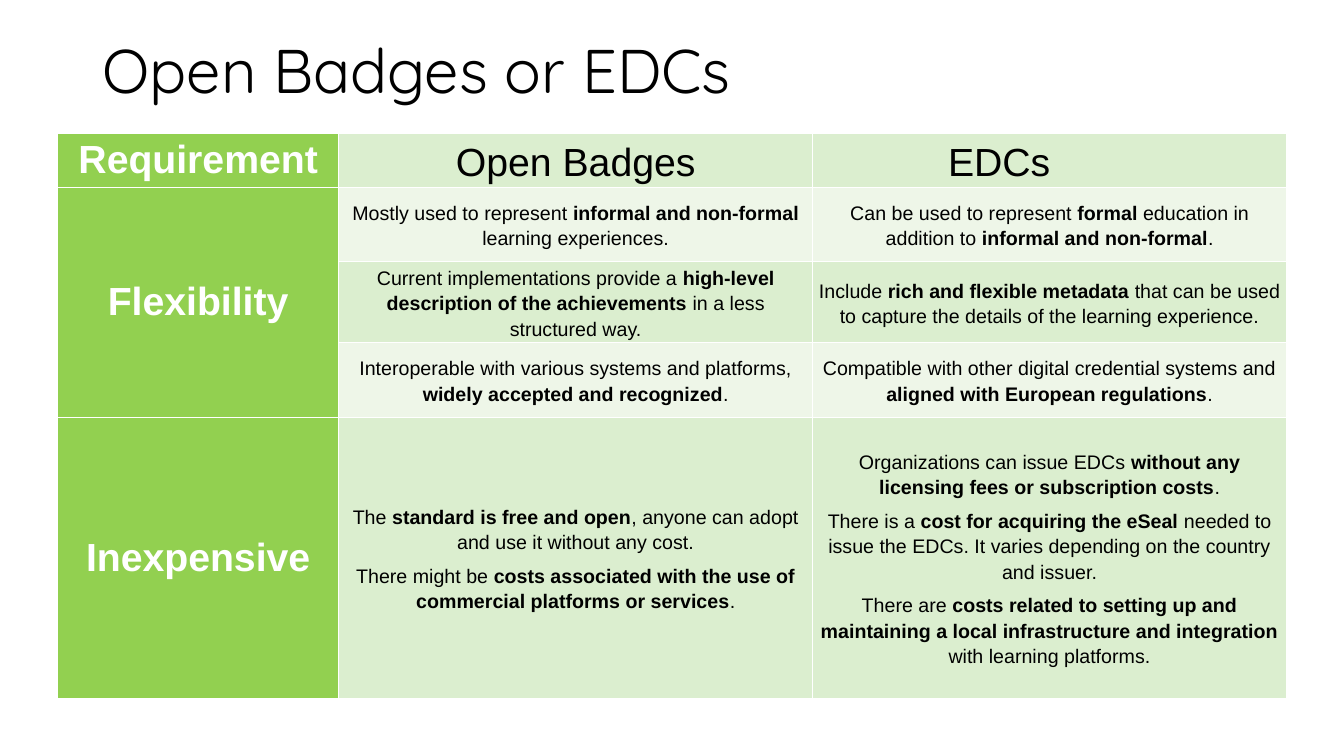
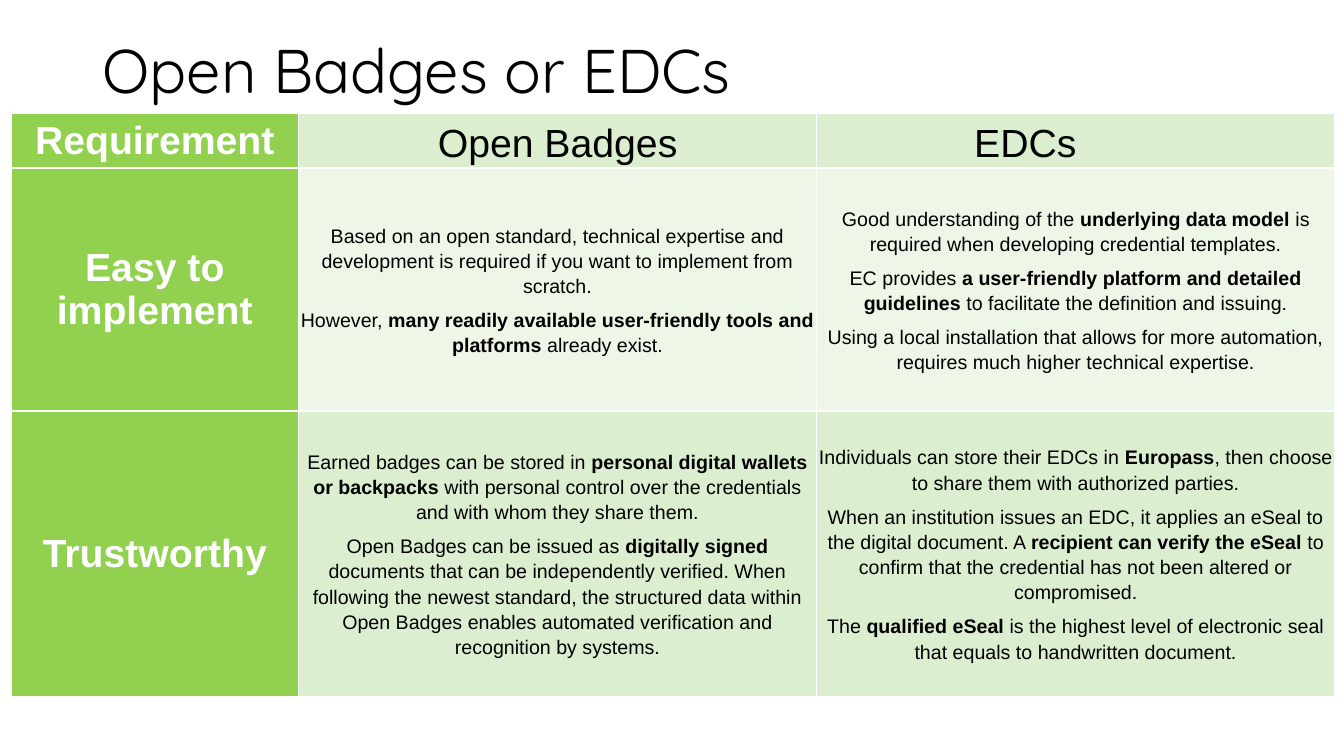
from lxml import etree
from pptx import Presentation
from pptx.dml.color import RGBColor
from pptx.enum.text import MSO_ANCHOR as Anchor, PP_ALIGN as Align
from pptx.oxml.ns import qn
from pptx.util import Inches, Pt

COLORS = {
    "text": "000000",
    "white": "FFFFFF",
    "green": "92D050",
    "light": "DBEECF",
    "pale": "EEF6E8",
}
TITLE_FONT, BODY_FONT = "Quicksand", "Arial"
HEADING_SIZE, BODY_SIZE = 28, 14
HEADER_HEIGHT = 0.5
EDCS_RIGHT_MARGIN = 1.02  # moves the last heading left of its column centre

# Each requirement has one or more rows; each row is (Open Badges, EDCs),
# each a list of paragraphs. Text between ** marks is bold.
FIRST_REQUIREMENTS = [
    ("Flexibility", [
        (["Mostly used to represent **informal and non-formal **learning experiences."],
         ["Can be used to represent **formal** education in addition to "
          "**informal and non-formal**."]),
        (["Current implementations provide a **high-level description of the "
          "achievements** in a less structured way."],
         ["Include **rich and flexible metadata **that can be used to capture the "
          "details of the learning experience."]),
        (["Interoperable with various systems and platforms, "
          "**widely accepted and recognized**."],
         ["Compatible with other digital credential systems and "
          "**aligned with European regulations**."]),
    ]),
    ("Inexpensive", [
        (["The **standard is free and open**, anyone can adopt and use it without any cost.",
          "There might be **costs associated with the use of commercial platforms "
          "or services**."],
         ["Organizations can issue EDCs **without any licensing fees or "
          "subscription costs**.",
          "There is a **cost for acquiring the eSeal **needed to issue the EDCs. "
          "It varies depending on the country and issuer.",
          "There are **costs related to setting up and maintaining a local "
          "infrastructure and integration **with learning platforms."]),
    ]),
]
SECOND_REQUIREMENTS = [
    ("Easy to implement", [
        (["Based on an open standard, technical expertise and development is required "
          "if you want to implement from scratch.",
          "However, **many readily available user-friendly tools and platforms "
          "**already exist."],
         ["Good understanding of the **underlying data model **is required when "
          "developing credential templates.",
          "EC provides **a user-friendly platform and detailed guidelines** to "
          "facilitate the definition and issuing.",
          "Using a local installation that allows for more automation, requires much "
          "higher technical expertise."]),
    ]),
    ("Trustworthy", [
        (["Earned badges can be stored in **personal digital wallets or backpacks "
          "**with personal control over the credentials and with whom they share them.",
          "Open Badges can be issued as **digitally signed **documents that can be "
          "independently verified. When following the newest standard, the structured "
          "data within Open Badges enables automated verification and recognition by "
          "systems."],
         ["Individuals can store their EDCs in **Europass**, then choose to share them "
          "with authorized parties.",
          "When an institution issues an EDC, it applies an eSeal to the digital "
          "document. A **recipient can verify the eSeal **to confirm that the "
          "credential has not been altered or compromised.",
          "The **qualified eSeal** is the highest level of electronic seal that equals "
          "to handwritten document."]),
    ]),
]


def rgb(name):
    return RGBColor.from_string(COLORS[name])


def set_font(para, name, size, color):
    para.font.name = name
    para.font.size = Pt(size)
    para.font.color.rgb = rgb(color)


def add_title(page, text):
    box = page.shapes.add_textbox(Inches(0.92), Inches(0), Inches(11.5), Inches(1.45))
    frame = box.text_frame
    frame.word_wrap = True
    frame.vertical_anchor = Anchor.MIDDLE
    para = frame.paragraphs[0]
    para.text = text
    para.line_spacing = 0.9
    set_font(para, TITLE_FONT, 44, "text")


def style_cell(cell, fill):
    """Give the cell white borders, a plain fill and tight margins."""
    properties = cell._tc.get_or_add_tcPr()
    for side in ("lnL", "lnR", "lnT", "lnB"):
        line = etree.SubElement(properties, qn(f"a:{side}"), w=str(Pt(1)))
        solid = etree.SubElement(line, qn("a:solidFill"))
        etree.SubElement(solid, qn("a:srgbClr"), val=COLORS["white"])
    cell.fill.solid()
    cell.fill.fore_color.rgb = rgb(fill)
    cell.margin_left = cell.margin_right = Inches(0.02)
    cell.margin_top = cell.margin_bottom = 0
    cell.vertical_anchor = Anchor.MIDDLE


def fill_label(cell, text):
    para = cell.text_frame.paragraphs[0]
    para.text = text
    para.alignment = Align.CENTER
    set_font(para, BODY_FONT, HEADING_SIZE, "white")
    para.font.bold = True


def fill_text(cell, texts, size=BODY_SIZE):
    frame = cell.text_frame
    for index, text in enumerate(texts):
        para = frame.add_paragraph() if index else frame.paragraphs[0]
        para.alignment = Align.CENTER
        para.line_spacing = 1.15
        if index:
            para.space_before = Pt(6)
        set_font(para, BODY_FONT, size, "text")
        for part, words in enumerate(text.split("**")):
            span = para.add_run()
            span.text = words
            span.font.bold = part % 2 == 1


def add_comparison(page, left, top, widths, heights, requirements):
    """Add the table; heights are those of the rows below the header."""
    heights = [HEADER_HEIGHT, *heights]
    table = page.shapes.add_table(
        len(heights), len(widths), Inches(left), Inches(top),
        Inches(sum(widths)), Inches(sum(heights))).table
    for column, width in zip(table.columns, widths):
        column.width = Inches(width)
    for row_index, (row, height) in enumerate(zip(table.rows, heights)):
        row.height = Inches(height)
        band = "pale" if row_index % 2 else "light"
        for column_index, cell in enumerate(row.cells):
            style_cell(cell, band if column_index else "green")

    fill_label(table.cell(0, 0), "Requirement")
    for column_index, heading in enumerate(("Open Badges", "EDCs"), 1):
        fill_text(table.cell(0, column_index), [heading], HEADING_SIZE)
    table.cell(0, 2).margin_right = Inches(EDCS_RIGHT_MARGIN)

    row_index = 1
    for label, rows in requirements:
        label_cell = table.cell(row_index, 0)
        if len(rows) > 1:
            label_cell.merge(table.cell(row_index + len(rows) - 1, 0))
        fill_label(label_cell, label)
        for pair in rows:
            for column_index, texts in enumerate(pair, 1):
                fill_text(table.cell(row_index, column_index), texts)
            row_index += 1


def add_page(deck, **comparison):
    page = deck.slides.add_slide(deck.slide_layouts[6])
    add_title(page, "Open Badges or EDCs")
    add_comparison(page, **comparison)


def main():
    deck = Presentation()
    deck.slide_width, deck.slide_height = Inches(13.33), Inches(7.5)
    add_page(deck, left=0.57, top=1.32, widths=[2.79, 4.7, 4.7],
             heights=[0.74, 0.74, 0.74, 2.79], requirements=FIRST_REQUIREMENTS)
    add_page(deck, left=0.11, top=1.13, widths=[2.85, 5.14, 5.14],
             heights=[2.41, 2.83], requirements=SECOND_REQUIREMENTS)
    deck.save("out.pptx")


if __name__ == "__main__":
    main()
